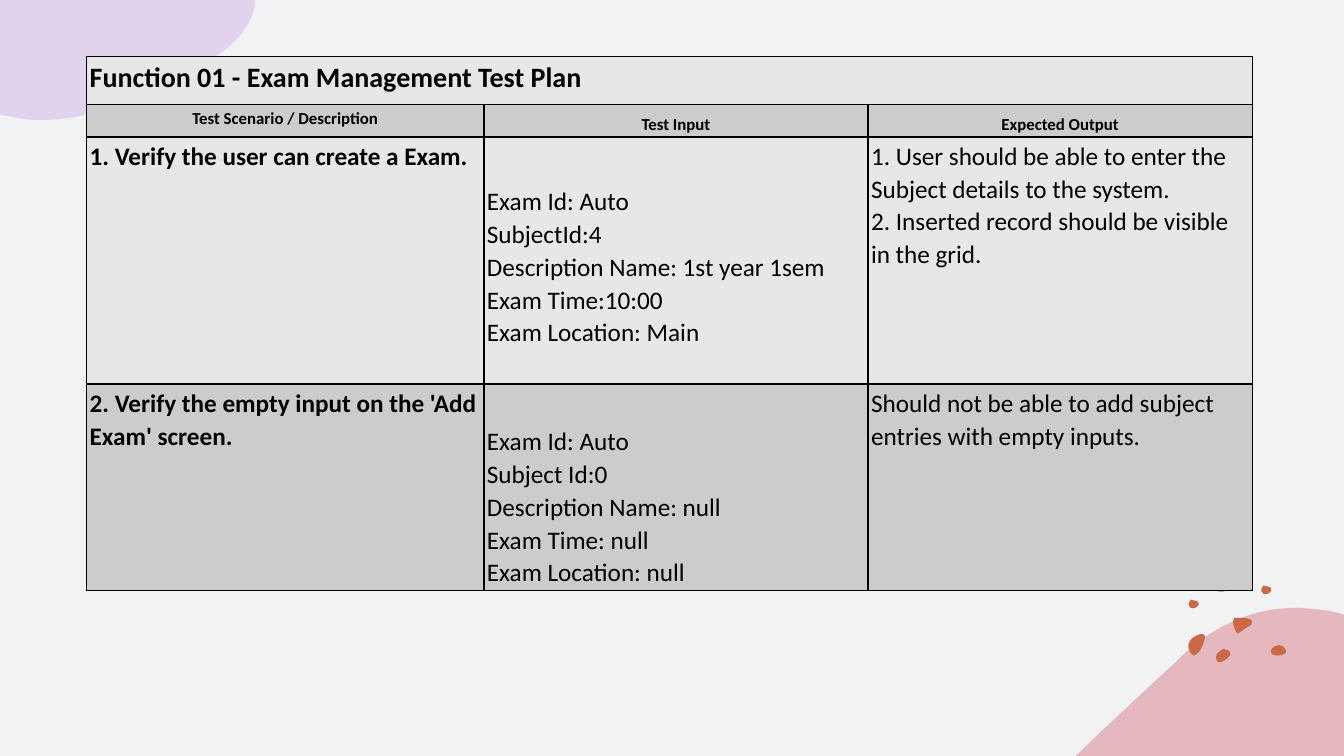
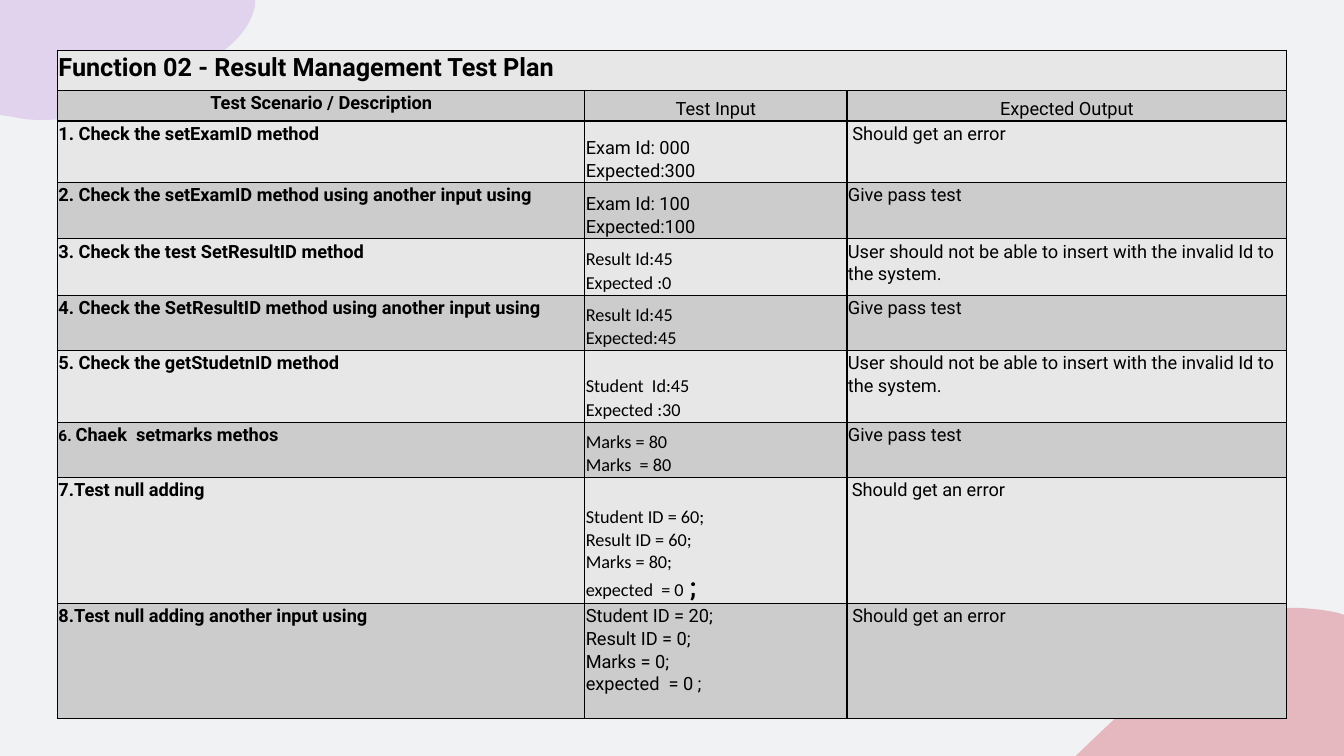
from lxml.etree import SubElement
from pptx import Presentation
from pptx.dml.color import RGBColor
from pptx.enum.text import MSO_ANCHOR, PP_ALIGN
from pptx.oxml.ns import qn
from pptx.util import Pt

PX = 9144  # EMU in one px, 100 px to the inch
SLIDE_W, SLIDE_H = 1333, 750
BACKGROUND, INK = "F0F2F3", "000000"
LIGHT_ROW, DARK_ROW = "E7E7E7", "CCCCCC"
PINK, LILAC, RUST = "DB7E8D", "D4B5EA", "CB6845"
LINE_SPACING = 1.07
HEADINGS = ["Test Scenario / Description", "Test Input", "Expected Output"]

# Outlines: a start point, then segments (2 numbers: line, 6 numbers: curve)
CORNER_HILL = [(221, 0), (234, 1, 247, 2, 260, 5), (266, 7), (266, 147), (0, 147), (1, 146),
               (35, 113, 70, 81, 102, 51), (124, 29, 147, 16, 170, 8), (187, 2, 204, 0, 221, 0)]
CORNER_CLOUD = [(0, 0), (253, 0), (253, 6), (245, 44, 200, 67, 158, 86),
                (123, 103, 86, 119, 41, 119), (31, 119, 22, 118, 13, 116), (0, 114), (0, 0)]
SMALL_PEBBLE = [(1, 5), (1, 5, 1, 1, 3, 0), (5, 0, 6, 0, 8, 1), (9, 1, 11, 2, 11, 4),
                (11, 5, 10, 7, 9, 7), (9, 7, 9, 8, 7, 8), (6, 8, 4, 9, 3, 8), (2, 6, 1, 6, 1, 5)]
# Each pebble: offset within the group, outline
PEBBLES = [
    (28, 75, [(7, 0), (9, 0, 10, 0, 12, 1), (14, 2, 15, 4, 14, 6), (12, 9, 6, 14, 2, 13),
              (1, 12, 0, 10, 0, 8), (0, 6, 1, 3, 4, 2), (5, 1, 6, 0, 7, 0)]),
    (0, 60, [(13, 0), (15, 0, 17, 0, 17, 2), (17, 3, 17, 3, 17, 4), (16, 9, 14, 14, 11, 18),
             (9, 20, 6, 23, 4, 20), (1, 17, 0, 12, 1, 9), (2, 6, 4, 5, 6, 3),
             (7, 3, 10, 0, 13, 0)]),
    (83, 71, [(8, 0), (10, 0, 13, 2, 14, 4), (15, 6, 15, 8, 12, 9), (9, 11, 1, 11, 0, 8),
              (-1, 6, 0, 4, 1, 3), (3, 1, 5, 0, 8, 0)]),
    (22, 0, [(1, 12), (0, 12, -1, 6, 2, 3), (4, 1, 4, 0, 7, 0), (10, 0, 14, 1, 16, 2),
             (18, 4, 22, 9, 20, 13), (17, 16, 16, 18, 12, 18), (9, 18, 4, 17, 3, 15),
             (1, 14, 1, 13, 1, 12)]),
    (72, 12, SMALL_PEBBLE),
    (0, 26, SMALL_PEBBLE),
    (45, 44, [(5, 0), (11, 0, 22, 0, 18, 6), (18, 7, 17, 8, 16, 8), (13, 10, 10, 12, 7, 14),
              (6, 15, 5, 16, 4, 15), (4, 15, 3, 14, 3, 14), (1, 10, 0, 7, 0, 3),
              (0, 2, 0, 1, 1, 0), (2, 0, 4, 0, 5, 0)]),
]


def px(length):
    return round(length * PX)


def rgb(hex_colour):
    return RGBColor.from_string(hex_colour)


def bend(blob, outline, left, top):
    """Turn the straight segments of a freeform into the curves of its outline."""
    path = blob._element.find(".//" + qn("a:path"))
    for segment, line in zip(outline[1:], path.findall(qn("a:lnTo"))):
        if len(segment) == 6:
            curve = path.makeelement(qn("a:cubicBezTo"))
            for x, y in zip(segment[::2], segment[1::2]):
                SubElement(curve, qn("a:pt"), x=str(px(x - left)), y=str(px(y - top)))
            path.replace(line, curve)


def add_blob(slide, left, top, outline, colour, opacity=100):
    ends = [segment[-2:] for segment in outline]
    points = [(px(left + x), px(top + y)) for x, y in ends]
    builder = slide.shapes.build_freeform(*points[0], scale=1.0)
    builder.add_line_segments(points[1:], close=True)
    blob = builder.convert_to_shape()
    bend(blob, outline, min(x for x, y in ends), min(y for x, y in ends))
    blob.shadow.inherit = False
    blob.line.fill.background()
    blob.fill.solid()
    blob.fill.fore_color.rgb = rgb(colour)
    if opacity < 100:
        tint = blob.fill._xPr.find(qn("a:solidFill"))[0]
        SubElement(tint, qn("a:alpha"), val=str(opacity * 1000))


def add_pebbles(slide, left, top):
    for dx, dy, outline in PEBBLES:
        add_blob(slide, left + dx, top + dy, outline, RUST)


def new_slide(prs):
    """Blank slide with the corner decorations."""
    slide = prs.slides.add_slide(prs.slide_layouts[6])
    add_blob(slide, SLIDE_W - 266, SLIDE_H - 147, CORNER_HILL, PINK, 50)
    add_pebbles(slide, 1178, 569)
    add_blob(slide, 0, 0, CORNER_CLOUD, LILAC, 50)
    return slide


def write(cell, text, size, font, bold=False, align=PP_ALIGN.LEFT, spacing=LINE_SPACING,
          anchor=MSO_ANCHOR.TOP):
    """Text is one paragraph or a list; a paragraph is a string or (text, format) runs."""
    cell.vertical_anchor = anchor
    paragraphs = text if isinstance(text, list) else [text]
    for index, content in enumerate(paragraphs):
        frame = cell.text_frame
        paragraph = frame.paragraphs[0] if index == 0 else frame.add_paragraph()
        paragraph.alignment = align
        paragraph.line_spacing = spacing
        for words, change in [(content, {})] if isinstance(content, str) else content:
            for number, line in enumerate(words.split("\n")):
                if number:
                    paragraph.add_line_break()
                run = paragraph.add_run()
                run.text = line
                look = {"size": size, "font": font, "bold": bold, **change}
                run.font.size = Pt(look["size"])
                run.font.name = look["font"]
                run.font.bold = look["bold"]
                run.font.color.rgb = rgb(INK)


def style_cell(cell, colour, inset_x, inset_y):
    cell.margin_left = cell.margin_right = px(inset_x)
    cell.margin_top = cell.margin_bottom = px(inset_y)
    properties = cell._tc.get_or_add_tcPr()
    for side in ("lnL", "lnR", "lnT", "lnB"):
        border = SubElement(properties, qn("a:" + side), w=str(Pt(1)))
        SubElement(SubElement(border, qn("a:solidFill")), qn("a:srgbClr"), val=INK)
    cell.fill.solid()
    cell.fill.fore_color.rgb = rgb(colour)


def add_test_plan(slide, left, top, widths, heights, inset, title, cases, font, title_size,
                  heading_size, text_size, bold_headings):
    """Table of a title row, a heading row and one row per case."""
    plan = slide.shapes.add_table(len(heights), len(widths), px(left), px(top),
                                  px(sum(widths)), px(sum(heights))).table
    plan.first_row = plan.horz_banding = False
    for column, width in zip(plan.columns, widths):
        column.width = px(width)
    for number, (row, height) in enumerate(zip(plan.rows, heights)):
        row.height = px(height)
        for cell in row.cells:
            style_cell(cell, DARK_ROW if number % 2 else LIGHT_ROW, *inset)

    # Title and headings
    plan.cell(0, 0).merge(plan.cell(0, len(widths) - 1))
    write(plan.cell(0, 0), title, title_size, font, bold=True)
    for column, heading in enumerate(HEADINGS):
        write(plan.cell(1, column), heading, heading_size, font, align=PP_ALIGN.CENTER,
              bold=bold_headings or column == 0,
              anchor=MSO_ANCHOR.BOTTOM if column else MSO_ANCHOR.TOP)

    # Cases
    for number, (scenario, entry, output, entry_look) in enumerate(cases, start=2):
        write(plan.cell(number, 0), scenario, text_size, font, bold=True)
        write(plan.cell(number, 1), entry, text_size,
              **{"font": font, "anchor": MSO_ANCHOR.BOTTOM, **entry_look})
        write(plan.cell(number, 2), output, text_size, font)
    return plan


def exam_slide(prs):
    slide = new_slide(prs)
    cases = [
        ("1. Verify the user can create a Exam.",
         ["Exam Id: Auto", "SubjectId:4\nDescription Name: 1st year 1sem", "Exam Time:10:00",
          "Exam Location: Main"],
         "1. User should be able to enter the Subject details to the system.\n"
         "2. Inserted record should be visible in the grid.", {}),
        ("2. Verify the empty input on the 'Add Exam' screen.",
         ["Exam Id: Auto", "Subject Id:0\nDescription Name: null", "Exam Time: null",
          "Exam Location: null"],
         "Should not be able to add subject entries with empty inputs.", {}),
    ]
    plan = add_test_plan(slide, 86, 56, [394, 381, 381], [48, 32, 245, 205], (3, 2),
                         "Function 01 - Exam Management Test Plan", cases, "Calibri",
                         title_size=20, heading_size=12, text_size=18, bold_headings=True)
    plan.cell(2, 1).margin_bottom = px(35)


def result_slide(prs):
    slide = new_slide(prs)
    calibri = {"font": "Calibri"}
    error, passed = " Should get an error", "Give pass test"
    invalid = "User should not be able to insert with the invalid Id to the system."
    closing = [("expected  = 0", {}), (" ;", {"size": 18, "font": "Roboto", "bold": True})]
    cases = [
        ("1. Check the setExamID method", ["Exam Id: 000", "Expected:300"], error, {}),
        ("2. Check the setExamID method using another input using",
         ["Exam Id: 100", "Expected:100"], passed, {}),
        ("3. Check the test SetResultID method", ["Result Id:45", "Expected :0"], invalid,
         calibri),
        ("4. Check the SetResultID method using another input using",
         ["Result Id:45", "Expected:45"], passed, calibri),
        ("5. Check the getStudetnID method", ["Student  Id:45", "Expected :30"], invalid,
         calibri),
        ([[("6. ", {"size": 11}), ("Chaek  setmarks methos", {})]],
         ["Marks = 80", "Marks  = 80"], passed, calibri),
        ("7.Test null adding", ["Student ID = 60;", "Result ID = 60;", "Marks = 80;", closing],
         [[(" ", {"size": 11}), (error.strip(), {})]], {**calibri, "spacing": 1.0}),
        ("8.Test null adding another input using",
         ["Student ID = 20;", "Result ID = 0;", "Marks = 0;", "expected  = 0 ;"], error,
         {"anchor": MSO_ANCHOR.TOP}),
    ]
    add_test_plan(slide, 57, 50, [523, 260, 436], [40, 30, 61, 56, 56, 55, 71, 55, 125, 114],
                  (1, 1), "Function 02 - Result Management Test Plan", cases, "Roboto",
                  title_size=18, heading_size=13, text_size=13, bold_headings=False)


def main():
    prs = Presentation()
    prs.slide_width, prs.slide_height = px(SLIDE_W), px(SLIDE_H)
    backdrop = prs.slide_master.background.fill
    backdrop.solid()
    backdrop.fore_color.rgb = rgb(BACKGROUND)
    exam_slide(prs)
    result_slide(prs)
    prs.save("out.pptx")


if __name__ == "__main__":
    main()
